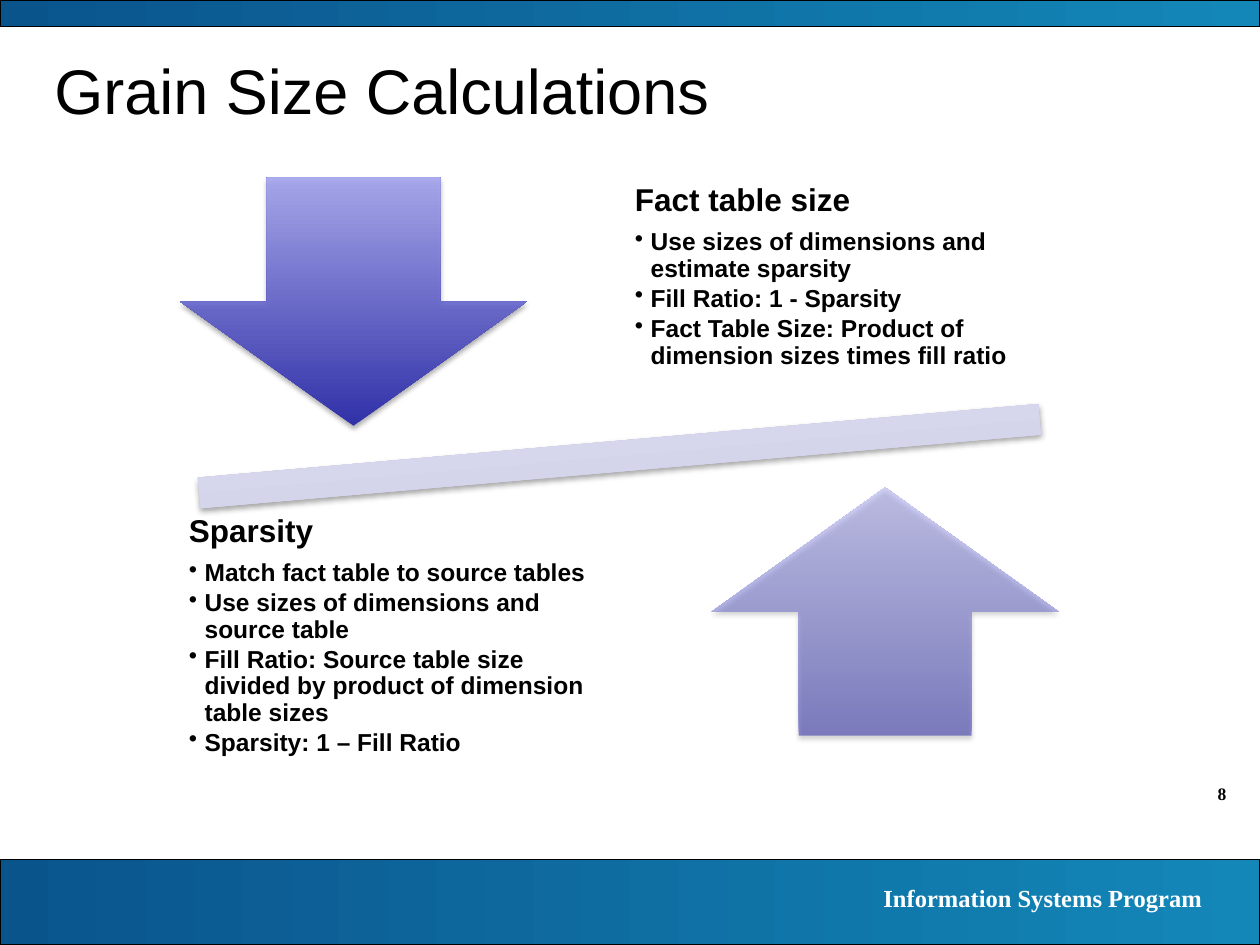
from lxml import etree
from pptx import Presentation
from pptx.dml.color import RGBColor
from pptx.enum.shapes import MSO_SHAPE
from pptx.enum.text import MSO_ANCHOR, PP_ALIGN
from pptx.oxml import parse_xml
from pptx.oxml.ns import nsdecls, qn
from pptx.util import Pt

BLACK = RGBColor(0x00, 0x00, 0x00)
WHITE = RGBColor(0xFF, 0xFF, 0xFF)
NAVY = RGBColor(0x0A, 0x54, 0x8C)
TEAL = RGBColor(0x13, 0x87, 0xB8)
INDIGO = RGBColor(0x24, 0x24, 0xA8)
LILAC = RGBColor(0xA4, 0xA4, 0xEF)
GREY = RGBColor(0xCB, 0xCB, 0xE0)
PALE = RGBColor(0xDF, 0xDF, 0xF8)

SHADOW = (
    f'<a:effectLst {nsdecls("a")}>'
    '<a:outerShdw blurRad="39370" dist="22860" dir="5400000" rotWithShape="0">'
    '<a:srgbClr val="000000"><a:alpha val="35000"/></a:srgbClr>'
    '</a:outerShdw></a:effectLst>'
)

deck = Presentation()
deck.slide_width, deck.slide_height = Pt(720), Pt(540)
slide = deck.slides.add_slide(deck.slide_layouts[6])


def add_shape(kind, box, first, last, angle):
    shape = slide.shapes.add_shape(kind, *map(Pt, box))
    shape.shadow.inherit = False
    shape.fill.gradient()
    shape.fill.gradient_angle = angle
    for stop, color in zip(shape.fill.gradient_stops, (first, last)):
        stop.color.rgb = color
    return shape


def add_text(box, lines, size, font="Arial", color=BLACK, bold=True):
    frame = slide.shapes.add_textbox(*map(Pt, box)).text_frame
    frame.word_wrap = True
    frame.text = "\n".join(lines)
    for para in frame.paragraphs:
        face = para.runs[0].font
        face.name, face.size, face.bold = font, Pt(size), bold
        face.color.rgb = color
    return frame


for top, height in ((491, 49), (0, 15)):
    band = add_shape(MSO_SHAPE.RECTANGLE, (0, top, 720, height), NAVY, TEAL, 0)
    band.line.color.rgb = BLACK
    band.line.width = Pt(0.75)

for box, words, size, color in (
    ((648, 444.2, 59.8, 19.4), "8", 10, BLACK),
    ((399.6, 501.1, 294.5, 24.5), "Information Systems Program", 14, WHITE),
):
    label = add_text(box, [words], size, "Times New Roman", color)
    label.paragraphs[0].alignment = PP_ALIGN.RIGHT

title = add_text((24, 24, 660, 54), ["Grain Size Calculations"], 36, bold=False)
title.vertical_anchor = MSO_ANCHOR.MIDDLE

for kind, box, first, last, alpha, turn in (
    (MSO_SHAPE.MATH_MINUS, (26, 223.2, 656, 74.9), GREY, PALE, 100, 355),
    (MSO_SHAPE.DOWN_ARROW, (103, 101.5, 198, 141.8), INDIGO, LILAC, 90, 0),
    (MSO_SHAPE.UP_ARROW, (406.8, 278.6, 198, 141.8), INDIGO, LILAC, 50, 0),
):
    shape = add_shape(kind, box, first, last, 90)
    shape.rotation = turn
    shape.line.fill.background()
    props = shape.element.spPr
    for tint in props.iter(qn("a:srgbClr")):
        etree.SubElement(tint, qn("a:alpha"), val=str(alpha * 1000))
    props.replace(props.find(qn("a:effectLst")), parse_xml(SHADOW))

for box, lines in (
    ((352.8, 84.2, 252.7, 148.3), (
        "Fact table size",
        "Use sizes of dimensions and estimate sparsity",
        "Fill Ratio: 1 - Sparsity",
        "Fact Table Size: Product of dimension sizes times fill ratio",
    )),
    ((97.9, 289.4, 260.6, 148.3), (
        "Sparsity",
        "Match fact table to source tables",
        "Use sizes of dimensions and source table",
        "Fill Ratio: Source table size divided by product of dimension table sizes",
        "Sparsity: 1 – Fill Ratio",
    )),
):
    frame = add_text(box, lines, 14)
    frame.vertical_anchor = MSO_ANCHOR.MIDDLE
    frame.margin_left = frame.margin_right = Pt(10)
    frame.margin_top = frame.margin_bottom = Pt(10)
    head, *points = frame.paragraphs
    head.runs[0].font.size = Pt(18)
    head.line_spacing = 0.9
    head.space_after = Pt(6.3)
    for point in points:
        point.level = 1
        point.line_spacing = 0.9
        point.space_after = Pt(2.1)
        props = point._p.get_or_add_pPr()
        props.set("marL", str(Pt(9)))
        props.set("indent", str(-Pt(9)))
        etree.SubElement(props, qn("a:buChar"), char="•")

deck.save("out.pptx")
